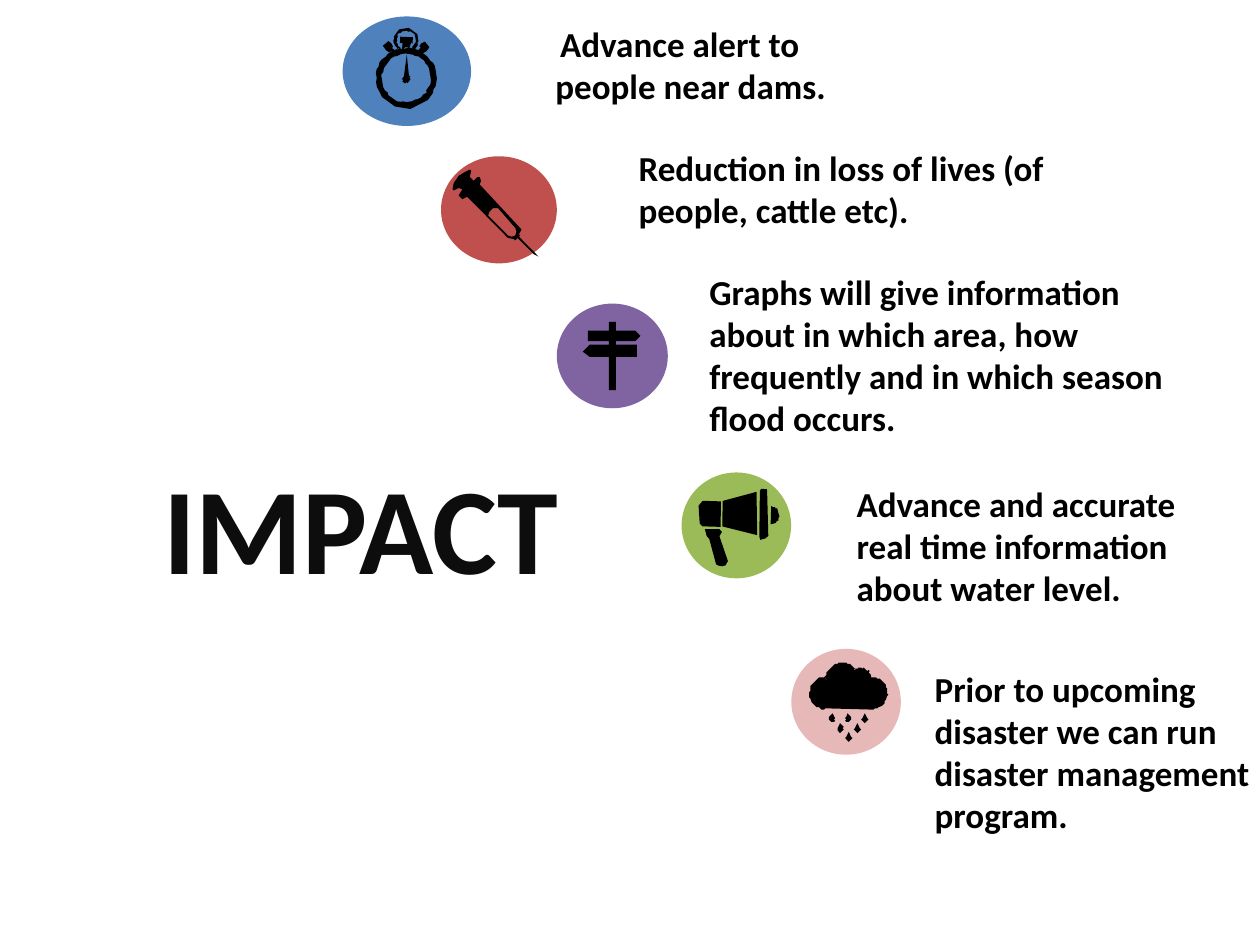
from dataclasses import dataclass
from math import cos, sin, radians

from pptx import Presentation
from pptx.dml.color import RGBColor
from pptx.enum.shapes import MSO_SHAPE
from pptx.enum.text import MSO_ANCHOR, MSO_AUTO_SIZE, PP_ALIGN
from pptx.util import Pt


@dataclass(frozen=True)
class Theme:
    font: str = "Calibri"
    body_size: float = 20
    title_size: float = 70
    ink: str = "000000"
    title: str = "0D0D0D"
    blue: str = "4F81BD"
    red: str = "C0504D"
    purple: str = "8064A2"
    green: str = "9BBB59"
    pink: str = "E6B9B8"


def write(tf, text, *, theme, size, color, align=PP_ALIGN.LEFT, indent=0):
    p = tf.paragraphs[0]
    p.alignment = align
    if indent:
        p._p.get_or_add_pPr().set("indent", str(Pt(indent)))
    r = p.add_run()
    r.text = text
    r.font.name, r.font.size, r.font.bold = theme.font, Pt(size), True
    r.font.color.rgb = RGBColor.from_string(color)


# Outline helpers: angles in degrees, clockwise from the right
def arc(cx, cy, radius, start=0, end=360, steps=24):
    angles = [radians(start + (end - start) * i / steps) for i in range(steps + 1)]
    return [(cx + radius * cos(a), cy + radius * sin(a)) for a in angles]


def turn(points, center, degrees):
    (cx, cy), c, s = center, cos(radians(degrees)), sin(radians(degrees))
    return [(cx + (x - cx) * c - (y - cy) * s, cy + (x - cx) * s + (y - cy) * c)
            for x, y in points]


class SlideBuilder:
    def __init__(self, prs, theme):
        self.theme = theme
        self.s = prs.slides.add_slide(prs.slide_layouts[6])

    def finish(self, sp, color):
        sp.shadow.inherit = False
        sp.fill.solid()
        sp.fill.fore_color.rgb = RGBColor.from_string(color)
        sp.line.fill.background()

    def disc(self, x, y, w, h, color):
        sp = self.s.shapes.add_shape(MSO_SHAPE.OVAL, Pt(x), Pt(y), Pt(w), Pt(h))
        self.finish(sp, color)

    def text(self, x, y, w, h, text, anchor=MSO_ANCHOR.TOP, **fmt):
        tf = self.s.shapes.add_textbox(Pt(x), Pt(y), Pt(w), Pt(h)).text_frame
        tf.word_wrap = True
        tf.auto_size = MSO_AUTO_SIZE.SHAPE_TO_FIT_TEXT
        tf.vertical_anchor = anchor
        style = dict(theme=self.theme, size=self.theme.body_size, color=self.theme.ink)
        write(tf, text, **{**style, **fmt})

    def icon(self, contours, center, rotation=0):
        """Contours are given as they appear; the frame is turned by rotation."""
        paths = [turn(c, center, -rotation) for c in contours]
        fb = self.s.shapes.build_freeform(*paths[0][0], scale=Pt(1))
        for i, path in enumerate(paths):
            if i:
                fb.move_to(*path[0])
            fb.add_line_segments(path[1:], close=True)
        sp = fb.convert_to_shape()
        sp.rotation = rotation
        self.finish(sp, self.theme.ink)


def stopwatch():
    cx, cy = 232, 44.6
    needle = [(cx, 31), (cx + 1.3, 43), *arc(cx, 45, 2.3, -55, 235), (cx - 1.3, 43)]
    loop = arc(cx, 22.9, 7, 130, 410) + arc(cx, 22.9, 5.5, 410, 130)
    crown = [(228.2, 20.9), (235.8, 20.9), (235.8, 24.5), (234.4, 24.5),
             (234.4, 27.3), (229.6, 27.3), (229.6, 24.5), (228.2, 24.5)]
    button = [(218.7, 26.3), (222, 23.8), (223.5, 24.5), (224.5, 26.4), (223.9, 27.4),
              (225.4, 28.6), (222.1, 30.4), (221, 29.5), (220.3, 28.8)]
    mirrored = [(2 * cx - x, y) for x, y in button]
    return [arc(cx, cy, 17.3, steps=48), arc(cx, cy, 13.9, steps=48),
            needle, loop, crown, button, mirrored]


def syringe():
    body = [(268.6, 97.2), (269.3, 98), (268.6, 100.8), (270, 103), (272.5, 101.4),
            (274.3, 101.5), (274.8, 102.8), (273.6, 105.1), (296.6, 128.9), (297.7, 131),
            (296.6, 133.2), (297.4, 134), (296.8, 135.4), (307.4, 146.2), (305.3, 145.4),
            (295.9, 136.1), (294.5, 136.8), (293.8, 136.1), (290.2, 136.1), (266.4, 112.3),
            (264, 113.3), (262.8, 113), (262.6, 111.6), (264.2, 108.7), (261.4, 107.3),
            (259.2, 108.2), (258.5, 108), (259.2, 104.4), (262.1, 100.8), (266, 97.9)]
    window = [(284.4, 118.8), (282, 119.2), (280, 120.9), (279.4, 123.1), (290.2, 133.9),
              (292, 134.8), (294.5, 133.9), (295.2, 131.8), (294.5, 129.6)]
    return [body, window]


def signpost():
    left, right = 347.8, 352.1
    return [arc(349.95, 185.8, 2.15, 180, 360) + [
        (right, 188.6), (362.9, 188.6), (365.8, 191.9), (362.9, 195.1), (right, 195.1),
        (right, 197.3), (363.6, 197.3), (363.6, 203.8), (right, 203.8), (right, 223.2),
        (left, 223.2), (left, 203.8), (337, 203.8), (333.4, 200.9), (337, 197.3),
        (left, 197.3), (left, 195.1), (336.2, 195.1), (336.2, 188.6), (left, 188.6)]]


def megaphone():
    handle = [(403.2, 301.7), (411.8, 301.7), (412.6, 303.1), (411.8, 305.3),
              (416.2, 319.7), (415.9, 321.6), (414.7, 322.6), (412.6, 323.3),
              (410.8, 323), (409.7, 321.8), (406.1, 307.4), (403.9, 305.3)]
    box = [(401.8, 285.8), (411.8, 285.8), (411.8, 300.2), (401.8, 300.2),
           (399.6, 298.1), (399.6, 288)]
    cone = [(432.7, 280.8), (432.7, 305.3), (413.3, 300.2), (413.3, 285.8)]
    rim = [(434.9, 278.6), (437.8, 278.6), (439.2, 280.1), (439.2, 306),
           (437.8, 307.4), (434.9, 307.4), (434.2, 306), (434.2, 280.1)]
    return [handle, box, cone, rim, arc(440.6, 293.8, 5, -90, 90)]


def rain_cloud():
    cloud = (arc(470.9, 395.3, 9.3, 90, 270) + arc(480.2, 387.4, 9.4, 170, 325)
             + arc(491, 387, 6, 230, 355) + arc(497, 395.3, 9.3, -90, 90))
    tips = [(474.5, 406.8), (483.8, 406.8), (493.2, 406.8),
            (479.5, 412.6), (488.9, 412.6), (483.8, 417.6)]
    return [cloud] + [[(x, y)] + arc(x, y + 3.5, 1.75, -30, 210) for x, y in tips]


def main():
    prs = Presentation()
    prs.slide_width, prs.slide_height = Pt(720), Pt(540)
    theme = Theme()
    b = SlideBuilder(prs, theme)

    # Colored discs
    b.disc(195.8, 9.4, 73.4, 62.6, theme.blue)
    b.disc(252, 89.3, 66.2, 61.2, theme.red)
    b.disc(318.2, 173.5, 63.4, 59.8, theme.purple)
    b.disc(389.5, 270, 62.6, 60.5, theme.green)
    b.disc(452.2, 370.8, 62.6, 60.5, theme.pink)

    # Impact statements
    b.text(310.3, 9.4, 176.4, 70.6, "Advance alert to people near dams.", indent=2.7)
    b.text(357.8, 79.9, 280.1, 79.9, "Reduction in loss of lives (of people, cattle etc).")
    b.text(398.2, 151.2, 289.4, 104.4, "Graphs will give information about in which area, "
           "how frequently and in which season flood occurs.")
    b.text(482.4, 272.2, 222.5, 79.9,
           "Advance and accurate real time information about water level.")
    b.text(527, 378, 222.5, 128.2,
           "Prior to upcoming disaster we can run disaster management program.")

    # Heading
    b.text(-48.2, 254.2, 374.4, 92.2, "IMPACT", anchor=MSO_ANCHOR.MIDDLE,
           size=theme.title_size, color=theme.title, align=PP_ALIGN.RIGHT)

    # Icons
    b.icon(stopwatch(), (232.6, 40.3), 36)
    b.icon(syringe(), (284.8, 123.5), 315.4)
    b.icon(signpost(), (349.6, 203.8))
    b.icon(megaphone(), (423.7, 300.2), 165)
    b.icon(rain_cloud(), (483.8, 397.8), 315)

    prs.save("out.pptx")


if __name__ == "__main__":
    main()
